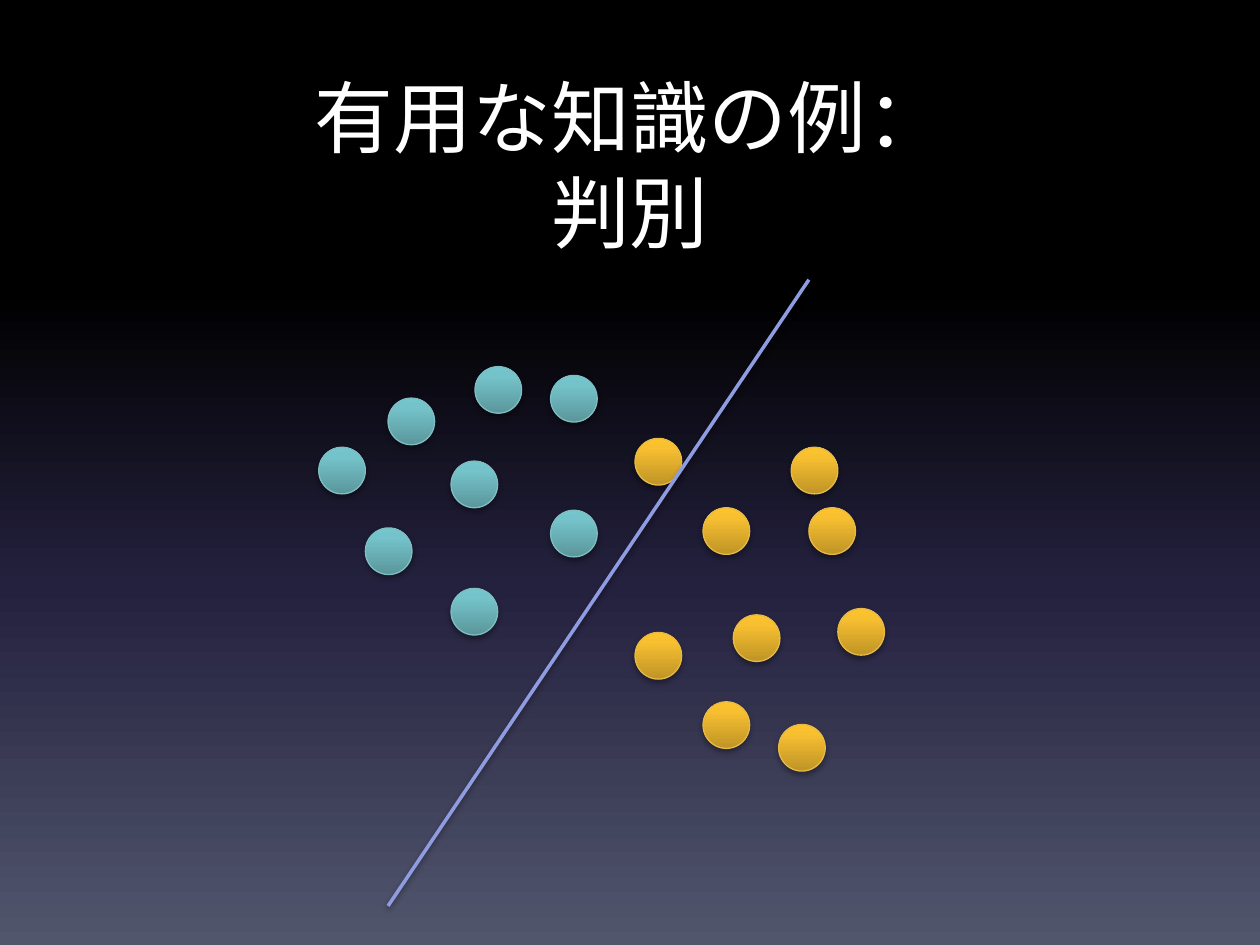
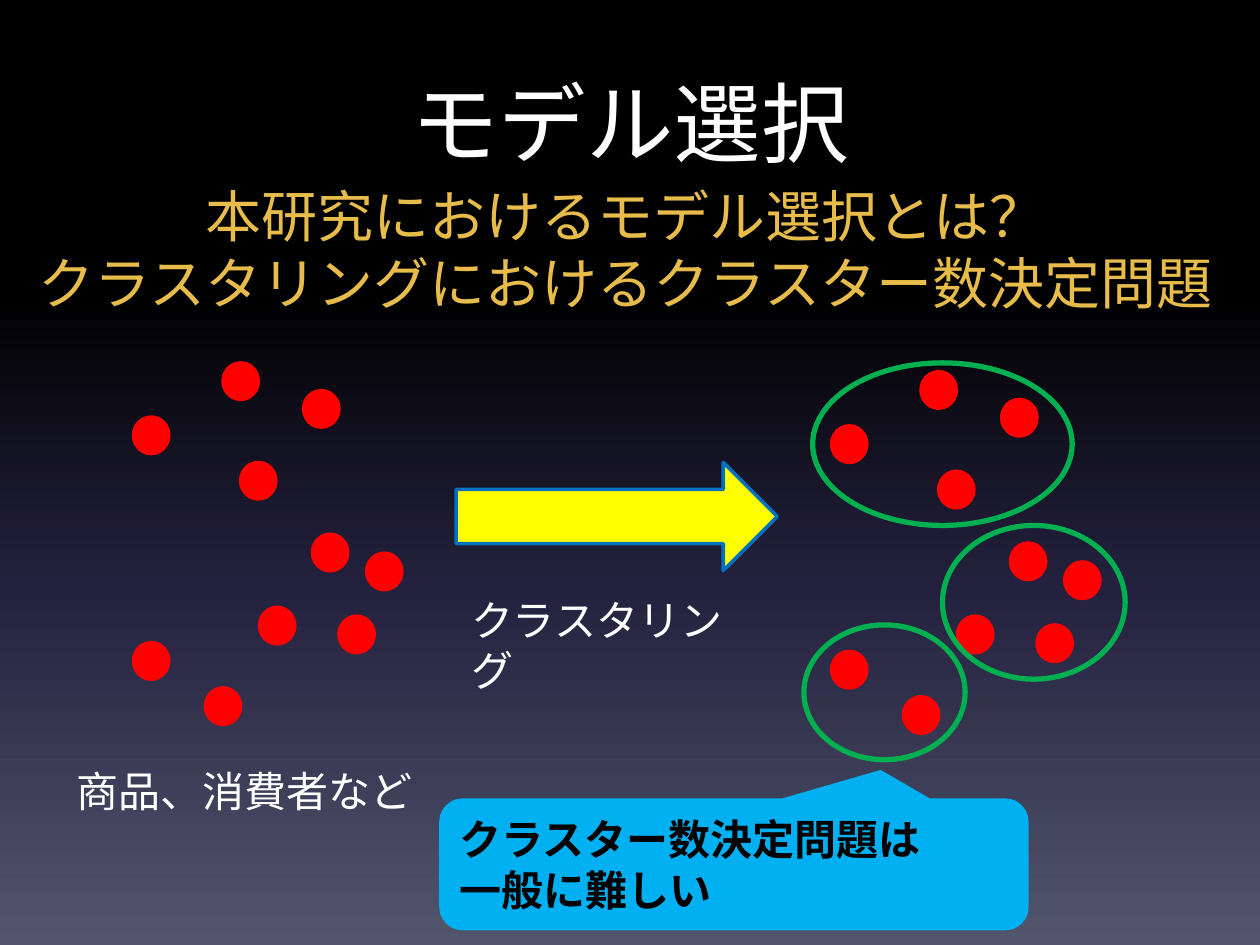
from lxml.etree import SubElement
from pptx import Presentation
from pptx.dml.color import RGBColor
from pptx.enum.shapes import MSO_CONNECTOR, MSO_SHAPE
from pptx.enum.text import MSO_ANCHOR, PP_ALIGN
from pptx.oxml.ns import qn
from pptx.util import Inches, Pt

WIDTH, HEIGHT = Inches(10), Inches(7.5)
COLS, ROWS = 100, 75
FONT = "Cabin"

BLACK = RGBColor(0x00, 0x00, 0x00)
WHITE = RGBColor(0xFF, 0xFF, 0xFF)
NIGHT = RGBColor(0x24, 0x21, 0x3E)
SLATE = RGBColor(0x51, 0x56, 0x6D)
GOLD = RGBColor(0xE8, 0xBC, 0x4A)
RED = RGBColor(0xFF, 0x00, 0x00)
YELLOW = RGBColor(0xFF, 0xFF, 0x00)
BLUE = RGBColor(0x00, 0x70, 0xC0)
GREEN = RGBColor(0x00, 0xB0, 0x50)
SKY = RGBColor(0x00, 0xB0, 0xF0)
LAVENDER = RGBColor(0x90, 0x9C, 0xE1)
TEAL_EDGE = RGBColor(0x7E, 0xBE, 0xC3)
AMBER_EDGE = RGBColor(0xE7, 0xBA, 0x45)

BACKDROP = [(0, BLACK), (31, BLACK), (62, NIGHT), (100, SLATE)]
TEAL = [(0, RGBColor(0x5A, 0x96, 0x9B)), (80, RGBColor(0x75, 0xC3, 0xCA)),
        (100, RGBColor(0x74, 0xC6, 0xCC))]
AMBER = [(0, RGBColor(0xBF, 0x94, 0x26)), (80, RGBColor(0xF8, 0xC0, 0x31)),
         (100, RGBColor(0xFD, 0xC3, 0x2D))]

TEAL_POINTS = [(30.8, 31.6), (29, 41.9), (43.7, 29.8), (35.8, 36.6),
               (35.8, 46.7), (37.7, 29.1), (43.7, 40.5), (25.3, 35.5)]
AMBER_POINTS = [(64.2, 40.3), (55.8, 40.3), (50.4, 50.2), (55.8, 55.7),
                (58.2, 48.8), (66.5, 48.3), (50.4, 34.8), (61.8, 57.5),
                (62.8, 35.5)]
ITEMS = [(17.7, 28.8), (10.6, 51), (20.6, 48.2), (16.3, 54.6), (24.1, 31),
         (19.1, 36.7), (26.9, 48.9), (24.8, 42.4), (29.1, 43.9), (10.6, 33.1)]
CLUSTERED_SHIFT = (55.4, 0.7)
CLUSTERS = [(64.5, 28.8, 20.6, 12.9), (63.8, 49.6, 12.8, 10.7),
            (74.8, 41.7, 14.5, 12.2)]


def grid(*lengths):
    """Turn alternating columns and rows into slide lengths."""
    units = (WIDTH / COLS, HEIGHT / ROWS)
    return [round(n * units[i % 2]) for i, n in enumerate(lengths)]


def set_gradient(fill, element, stops, angle):
    """Give a fill its gradient stops (percent, colour) and angle."""
    fill.gradient()
    stop_list = next(element.iter(qn("a:gsLst")))
    for stop in list(stop_list):
        stop_list.remove(stop)
    for percent, color in stops:
        stop = SubElement(stop_list, qn("a:gs"), pos=str(percent * 1000))
        SubElement(stop, qn("a:srgbClr"), val=str(color))
    next(element.iter(qn("a:lin"))).set("ang", str(angle * 60000))


def set_shadow(shape, opacity=0, blur=3.1, distance=1.8):
    """Drop a black shadow straight down, or clear it when opacity is 0."""
    effects = SubElement(shape.element.spPr, qn("a:effectLst"))
    if opacity:
        shadow = SubElement(effects, qn("a:outerShdw"), blurRad=str(Pt(blur)),
                            dist=str(Pt(distance)), dir="5400000", rotWithShape="0")
        color = SubElement(shadow, qn("a:srgbClr"), val=str(BLACK))
        SubElement(color, qn("a:alpha"), val=str(opacity * 1000))


def write(tf, text, size, color=WHITE, bold=False, align=PP_ALIGN.LEFT,
          anchor=MSO_ANCHOR.TOP):
    """Fill a text frame, one paragraph a line."""
    tf.word_wrap = True
    tf.vertical_anchor = anchor
    for i, line in enumerate(text.split("\n")):
        p = tf.add_paragraph() if i else tf.paragraphs[0]
        p.text = line
        p.alignment = align
        for r in p.runs:
            r.font.name = FONT
            r.font.size = Pt(size)
            r.font.bold = bold
            r.font.color.rgb = color


def add_text(s, box, text, size, **style):
    """Add a text box on the grid."""
    write(s.shapes.add_textbox(*grid(*box)).text_frame, text, size, **style)


def add_title(s, text, size):
    """Add the centred slide title."""
    add_text(s, (5, 5, 90, 12.5), text, size, align=PP_ALIGN.CENTER)


def add_figure(s, kind, box, line, fill=None, width=2, shadow=0):
    """Add a preset shape with a plain, gradient or empty fill."""
    sp = s.shapes.add_shape(kind, *grid(*box))
    if fill is None:
        sp.fill.background()
    elif isinstance(fill, list):
        set_gradient(sp.fill, sp.element, fill, 270)
    else:
        sp.fill.solid()
        sp.fill.fore_color.rgb = fill
    sp.line.color.rgb = line
    sp.line.width = Pt(width)
    set_shadow(sp, shadow)
    return sp


def add_boundary(s, start, end):
    """Add the line that separates the two classes."""
    line = s.shapes.add_connector(MSO_CONNECTOR.STRAIGHT, *grid(*start, *end))
    line.line.color.rgb = LAVENDER
    line.line.width = Pt(2)
    set_shadow(line, 38, distance=1.6)


def add_items(s, shift=(0, 0)):
    """Scatter the red items, moved by a shift."""
    for x, y in ITEMS:
        add_figure(s, MSO_SHAPE.FLOWCHART_CONNECTOR,
                   (x + shift[0], y + shift[1], 2.8, 2.9), RED, RED)


def build_discrimination(s):
    """Show two classes of points split by a line."""
    add_title(s, "有用な知識の例：\v判別", 45)
    for points, fill, edge in ((TEAL_POINTS, TEAL, TEAL_EDGE),
                               (AMBER_POINTS, AMBER, AMBER_EDGE)):
        for x, y in points:
            add_figure(s, MSO_SHAPE.OVAL, (x, y, 3.7, 3.7), edge, fill,
                       width=0.75, shadow=35)
    add_boundary(s, (64.2, 22.2), (30.8, 71.9))


def build_model_selection(s):
    """Show items before and after clustering."""
    add_title(s, "モデル選択", 50)
    add_items(s)
    add_items(s, CLUSTERED_SHIFT)
    add_figure(s, MSO_SHAPE.RIGHT_ARROW, (36.2, 36.7, 25.5, 8.6), BLUE, YELLOW)
    add_text(s, (36.4, 46.7, 23, 4.6), "クラスタリング", 24)
    for box in CLUSTERS:
        add_figure(s, MSO_SHAPE.OVAL, box, GREEN, width=3)
    add_text(s, (1.4, 13.9, 96.6, 11.8),
             "本研究におけるモデル選択とは？\nクラスタリングにおけるクラスター数決定問題",
             32, color=GOLD, align=PP_ALIGN.CENTER)
    add_text(s, (5.1, 60.3, 28.9, 5), "商品、消費者など", 24)
    callout = add_figure(s, MSO_SHAPE.ROUNDED_RECTANGULAR_CALLOUT,
                         (35, 63.5, 46.5, 10.2), SKY, SKY)
    for i, value in enumerate((0.25, -0.72, 0.17)):
        callout.adjustments[i] = value
    write(callout.text_frame, "クラスター数決定問題は\n一般に難しい", 24,
          color=BLACK, bold=True, anchor=MSO_ANCHOR.MIDDLE)


def main():
    """Build and save the deck."""
    prs = Presentation()
    prs.slide_width, prs.slide_height = WIDTH, HEIGHT
    master = prs.slide_master
    set_gradient(master.background.fill, master.element, BACKDROP, 90)
    for build in (build_discrimination, build_model_selection):
        build(prs.slides.add_slide(prs.slide_layouts[6]))
    prs.save("out.pptx")


if __name__ == "__main__":
    main()
